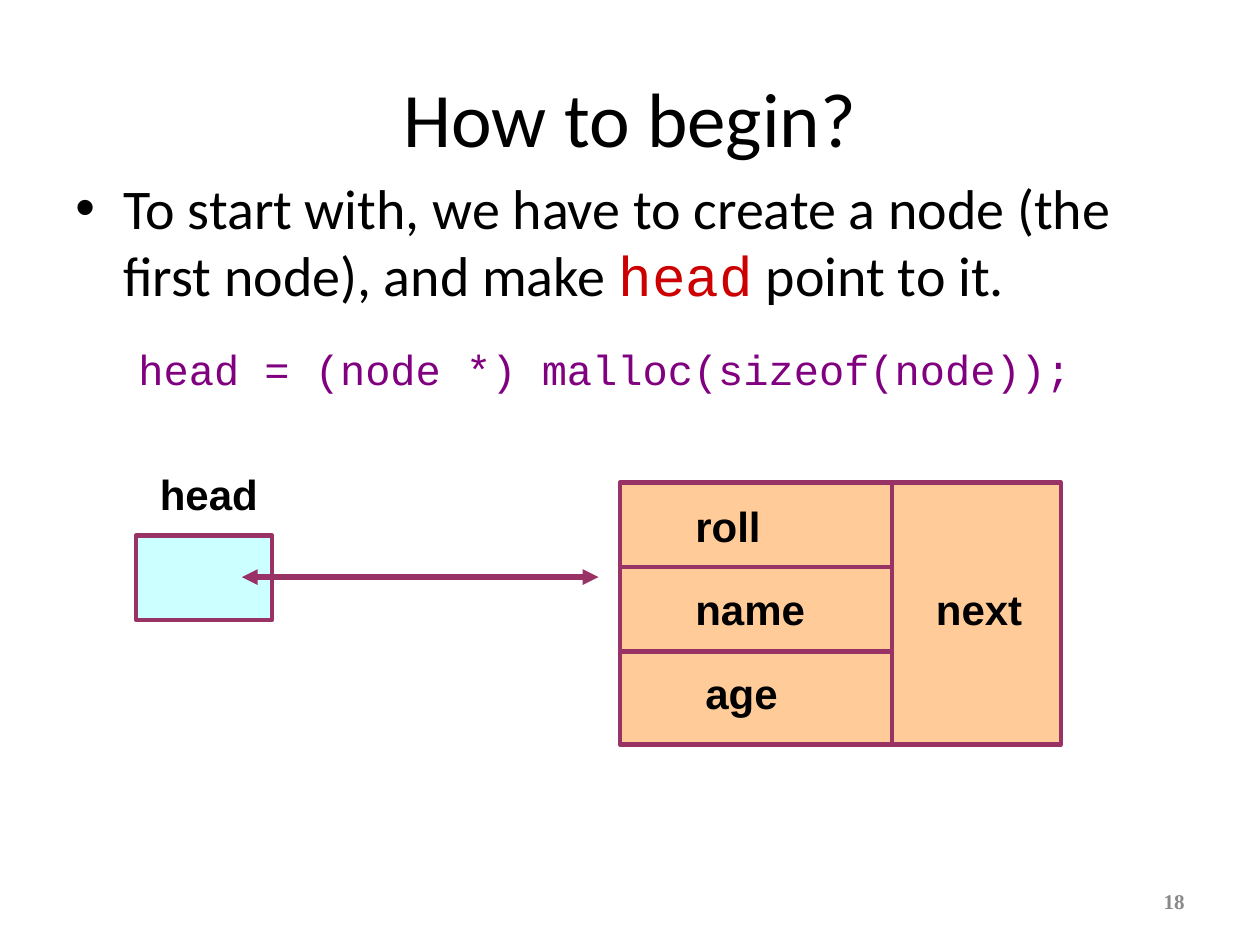
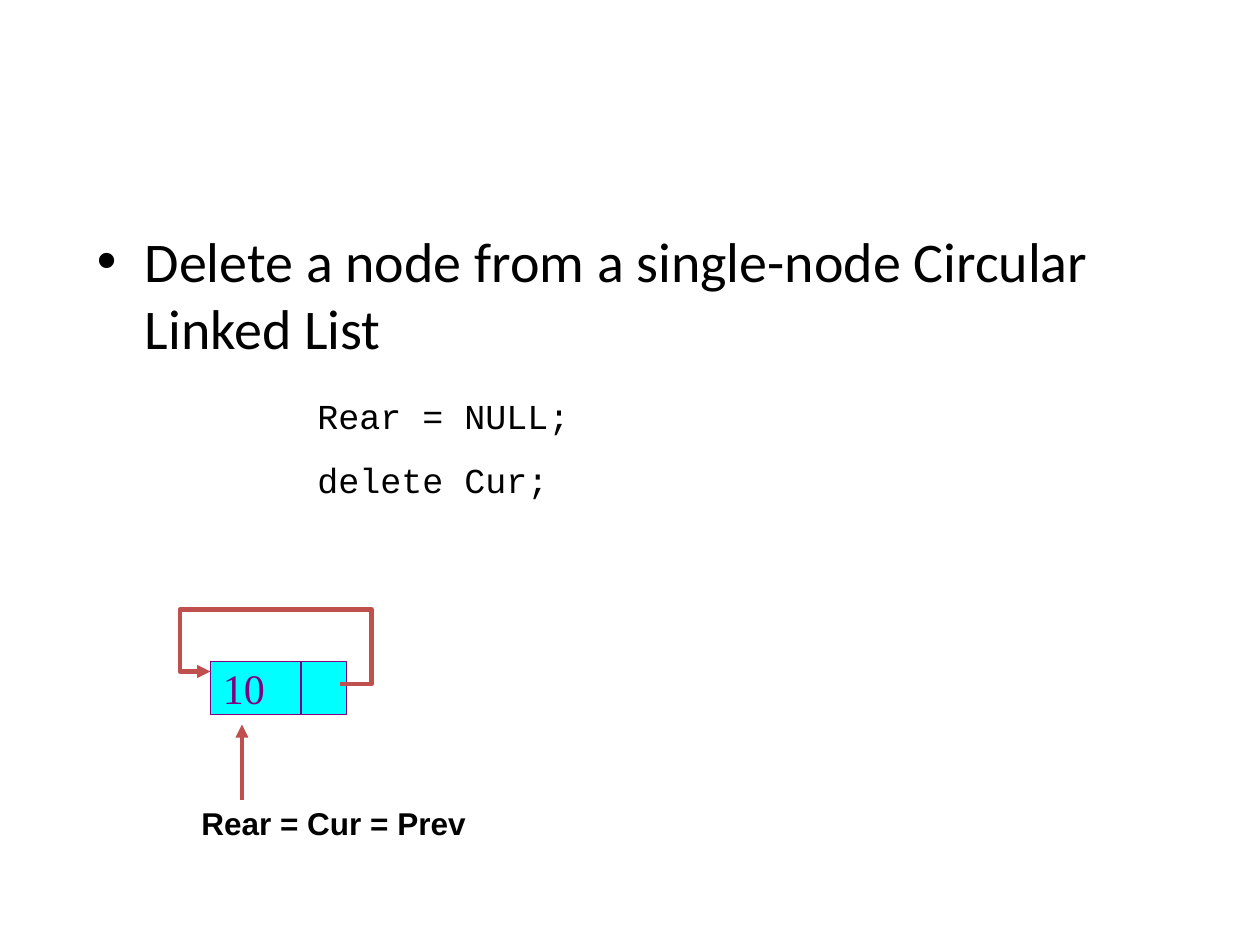
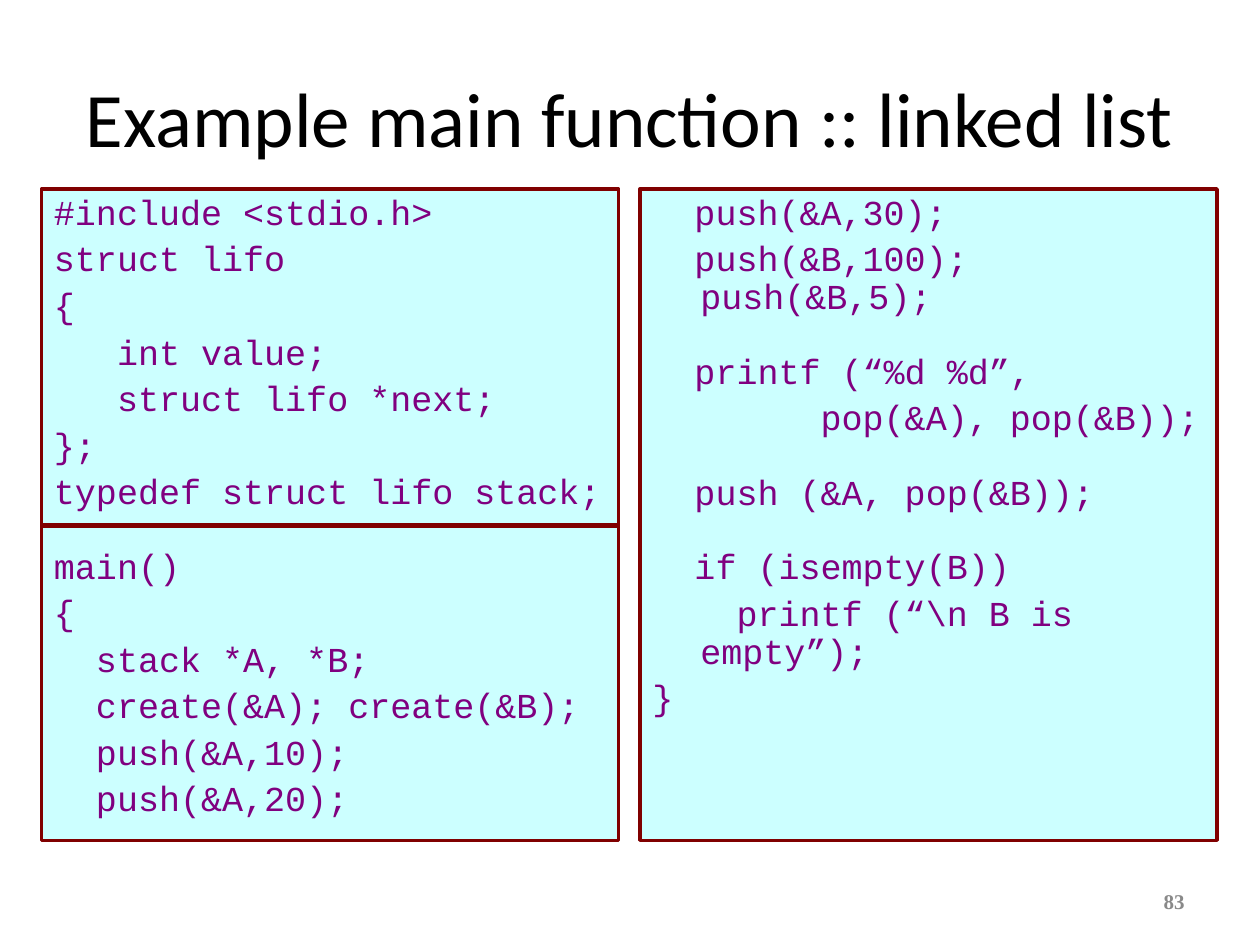
"""Build three slides about linked lists."""
from lxml import etree
from pptx import Presentation
from pptx import util as u
from pptx.dml.color import RGBColor
from pptx.enum import shapes, text
from pptx.oxml.ns import qn

COLORS = {
    "black": "000000", "gray": "898989", "red": "CC0000", "purple": "800080",
    "plum": "993366", "maroon": "800000", "brick": "C0504D",
    "peach": "FFCC99", "ice": "CCFFFF", "cyan": "00FFFF",
}
COLORS = {name: RGBColor.from_string(value) for name, value in COLORS.items()}
RECTANGLE = shapes.MSO_SHAPE.RECTANGLE
LEFT, RIGHT, CENTER = text.PP_ALIGN.LEFT, text.PP_ALIGN.RIGHT, text.PP_ALIGN.CENTER
TOP, MIDDLE = text.MSO_ANCHOR.TOP, text.MSO_ANCHOR.MIDDLE


def write(shape, lines, font, size, color, bold=False, align=LEFT, anchor=TOP,
          hanging=0, space=0):
    frame = shape.text_frame
    frame.text = "\n".join(lines)
    frame.word_wrap = True
    frame.auto_size = text.MSO_AUTO_SIZE.NONE
    frame.vertical_anchor = anchor
    for index, paragraph in enumerate(frame.paragraphs):
        paragraph.alignment = align
        if index:
            paragraph.space_before = u.Pt(space)
        if hanging:
            properties = paragraph._p.get_or_add_pPr()
            properties.set("marL", str(u.Inches(hanging)))
            properties.set("indent", str(-u.Inches(hanging)))
        for run in paragraph.runs:
            run.font.name, run.font.size, run.font.bold = font, u.Pt(size), bold
            run.font.color.rgb = COLORS[color]


def add_line(slide, start, end, color, width=2.5, arrows=(), kind="STRAIGHT"):
    connector = slide.shapes.add_connector(
        shapes.MSO_CONNECTOR[kind], *(u.Inches(value) for value in start + end))
    connector.line.color.rgb = COLORS[color]
    connector.line.width = u.Pt(width)
    for arrow in arrows:
        etree.SubElement(connector.line._get_or_add_ln(), qn(f"a:{arrow}"), type="triangle")
    etree.SubElement(connector._element.spPr, qn("a:effectLst"))
    return connector


presentation = Presentation()
presentation.slide_width, presentation.slide_height = u.Inches(10), u.Inches(7.5)
title_only, blank = presentation.slide_layouts[5], presentation.slide_layouts[6]
begin_slide, delete_slide, main_slide = [
    presentation.slides.add_slide(layout) for layout in (title_only, blank, title_only)]

for slide, heading, number in (
    (begin_slide, "How to begin?", "18"),
    (main_slide, "Example main function :: linked list", "83"),
):
    title = slide.shapes.title
    title.left, title.top = u.Inches(0.5), u.Inches(0.3)
    title.width, title.height = u.Inches(9), u.Inches(1.25)
    write(title, [heading], "Calibri", 44, "black", align=CENTER, anchor=MIDDLE)
    footer = slide.shapes.add_textbox(
        u.Inches(7.17), u.Inches(6.95), u.Inches(2.33), u.Inches(0.4))
    write(footer, [number], "Times New Roman", 12, "gray", True, RIGHT, MIDDLE)

bodies = []
for slide, box, sentence in (
    (begin_slide, (0.5, 1.33, 9.08, 5.33),
     "To start with, we have to create a node (the first node), and make "),
    (delete_slide, (0.67, 1.75, 8.58, 4.75),
     "Delete a node from a single-node Circular Linked List"),
):
    body = slide.shapes.add_textbox(*(u.Inches(value) for value in box))
    write(body, [sentence], "Calibri", 32, "black", hanging=0.38)
    properties = body.text_frame.paragraphs[0]._p.get_or_add_pPr()
    etree.SubElement(properties, qn("a:buFont"), typeface="Arial")
    etree.SubElement(properties, qn("a:buChar"), char="•")
    bodies.append(body)

sentence = bodies[0].text_frame.paragraphs[0]
statement = bodies[0].text_frame.add_paragraph()
statement.space_before = u.Pt(20)
statement._p.get_or_add_pPr().set("marL", str(u.Inches(0.81)))
statement._p.get_or_add_pPr().set("indent", str(-u.Inches(0.31)))
for paragraph, words, font, size, color in (
    (sentence, "head", "Courier New", 32, "red"),
    (sentence, " point to it.", "Calibri", 32, "black"),
    (statement, "head = (node *) malloc(sizeof(node));", "Courier New", 24, "purple"),
):
    run = paragraph.add_run()
    run.text = words
    run.font.name, run.font.size = font, u.Pt(size)
    run.font.color.rgb = COLORS[color]

boxes = []
for slide, box, fill, line, width in (
    (begin_slide, (4.92, 3.83, 3.5, 2.08), "peach", "plum", 2.5),
    (begin_slide, (1.08, 4.25, 1.08, 0.67), "ice", "plum", 2.5),
    (delete_slide, (1.67, 5.25, 0.72, 0.42), "cyan", "purple", 1),
    (delete_slide, (2.39, 5.25, 0.36, 0.42), "cyan", "purple", 1),
    (main_slide, (0.33, 1.5, 4.58, 5.17), "ice", "maroon", 2),
    (main_slide, (5.08, 1.5, 4.58, 5.17), "ice", "maroon", 2),
):
    shape = slide.shapes.add_shape(RECTANGLE, *(u.Inches(value) for value in box))
    shape.shadow.inherit = False
    shape.fill.solid()
    shape.fill.fore_color.rgb = COLORS[fill]
    shape.line.color.rgb = COLORS[line]
    shape.line.width = u.Pt(width)
    boxes.append(shape)
value_cell, left_code, right_code = boxes[2], boxes[4], boxes[5]

add_line(begin_slide, (7.08, 3.83), (7.08, 5.92), "plum")
for top in (4.5, 5.17):
    add_line(begin_slide, (4.92, top), (7.08, top), "plum")
add_line(begin_slide, (1.92, 4.58), (4.75, 4.58), "plum", 3, ("headEnd", "tailEnd"))

for label, left, top in (
    ("head", 1.17, 3.67), ("roll", 5.42, 3.92), ("name", 5.42, 4.58),
    ("age", 5.5, 5.25), ("next", 7.33, 4.58),
):
    field = begin_slide.shapes.add_textbox(
        u.Inches(left), u.Inches(top), u.Inches(1.67), u.Inches(0.5))
    write(field, [label], "Arial", 24, "black", True)

write(value_cell, ["10"], "Times New Roman", 24, "purple", anchor=MIDDLE)
add_line(delete_slide, (1.92, 6.35), (1.92, 5.75), "brick", arrows=["tailEnd"])
loop = add_line(delete_slide, (2.7, 5.43), (1.67, 5.33), "brick",
                arrows=["tailEnd"], kind="ELBOW")
geometry = loop._element.spPr.find(qn("a:prstGeom"))
geometry.set("prst", "bentConnector5")
guides = geometry.find(qn("a:avLst"))
for index, value in enumerate((-24300, 593000, 123400), 1):
    etree.SubElement(guides, qn("a:gd"), name=f"adj{index}", fmla=f"val {value}")
pointers = delete_slide.shapes.add_textbox(
    u.Inches(1.5), u.Inches(6.33), u.Inches(2.42), u.Inches(0.4))
write(pointers, ["Rear = Cur = Prev"], "Arial", 18, "black", True)
deletion = delete_slide.shapes.add_textbox(
    u.Inches(2.42), u.Inches(3.08), u.Inches(5), u.Inches(0.94))
write(deletion, ["Rear = NULL;", "delete Cur;"], "Courier New", 20, "black", space=12.5)

left_lines = [
    "#include <stdio.h>", "struct lifo", "{", "   int value;",
    "   struct lifo *next;", "};", "typedef struct lifo stack;",
    "main()", "{", "  stack *A, *B;", "  create(&A); create(&B);",
    "  push(&A,10);", "  push(&A,20);",
]
right_lines = [
    "  push(&A,30);", "  push(&B,100);  push(&B,5);", "  printf (“%d %d”,",
    "        pop(&A), pop(&B));", "  push (&A, pop(&B));", "  if (isempty(B))",
    "    printf (“\\n B is empty”);", "}",
]
for panel, lines, section_starts in (
    (left_code, left_lines, [7]), (right_code, right_lines, [2, 4, 5]),
):
    write(panel, lines, "Courier New", 20, "purple", hanging=0.38, space=5)
    for index, paragraph in enumerate(panel.text_frame.paragraphs):
        paragraph.line_spacing = 0.9
        if index in section_starts:
            paragraph.space_before = u.Pt(21)
add_line(main_slide, (0.33, 4.17), (4.92, 4.17), "maroon")

presentation.save("out.pptx")
